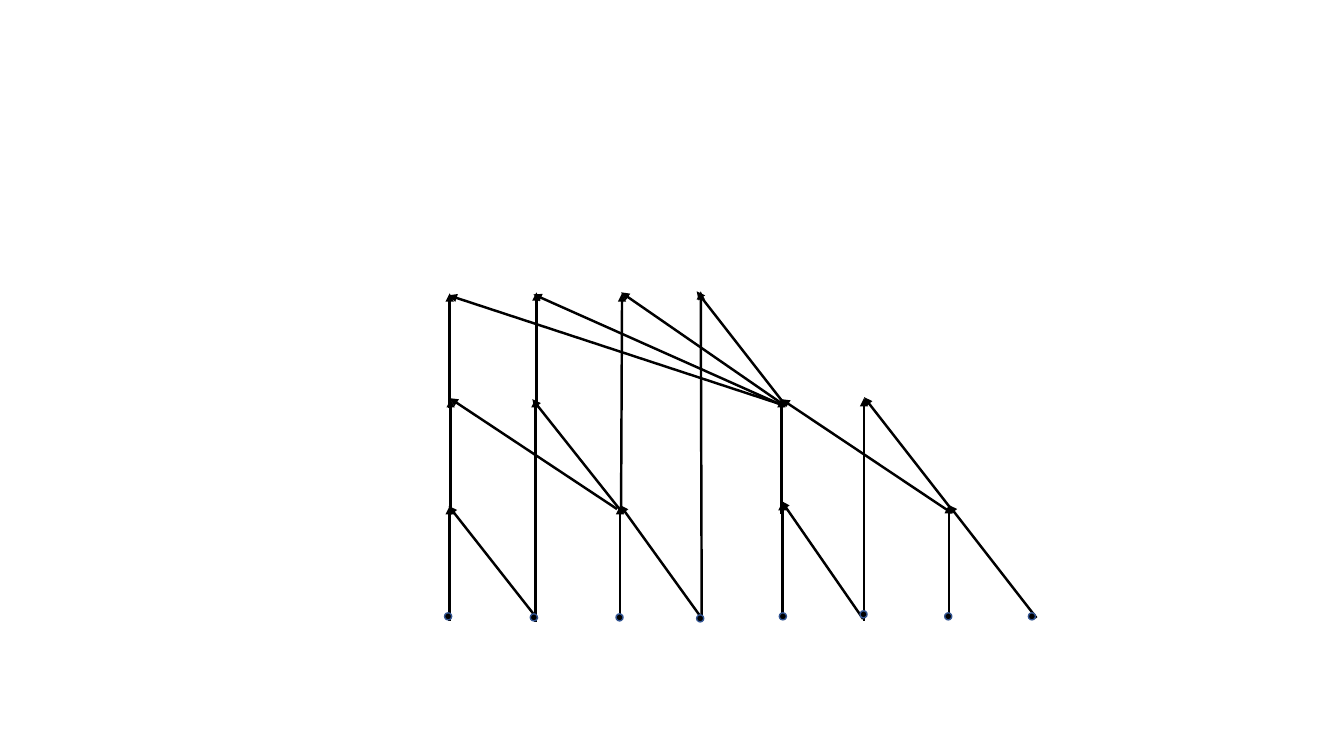
from typing import NamedTuple

import pptx
import pptx.dml.color
import pptx.enum.shapes
import pptx.oxml
import pptx.oxml.ns
import pptx.slide
import pptx.util
from pptx.util import Inches

COLORS = {"ink": "000000", "dot_edge": "325491"}
DOT_SIZE = 0.07


class Arrow(NamedTuple):
    x1: float
    y1: float
    x2: float
    y2: float


class Dot(NamedTuple):
    left: float
    top: float


# Arrows of the merge tree, from the lowest level to the highest
FIRST_LEVEL = [
    Arrow(9.41, 6.15, 9.41, 5.01),
    Arrow(10.28, 6.13, 9.41, 5.01),
    Arrow(7.76, 6.11, 7.76, 4.98),
    Arrow(8.56, 6.14, 7.75, 4.97),
    Arrow(4.46, 6.16, 4.46, 5.02),
    Arrow(5.33, 6.14, 4.45, 5.02),
    Arrow(6.15, 6.15, 6.15, 5.02),
    Arrow(6.95, 6.12, 6.15, 5.01),
]
SECOND_LEVEL = [
    Arrow(8.57, 6.16, 8.57, 3.95),
    Arrow(9.45, 5.07, 8.57, 3.94),
    Arrow(7.75, 5.10, 7.75, 3.96),
    Arrow(9.41, 5.07, 7.75, 3.96),
    Arrow(6.16, 5.07, 5.28, 3.96),
    Arrow(4.47, 5.09, 4.47, 3.96),
    Arrow(6.12, 5.05, 4.46, 3.95),
    Arrow(5.31, 6.17, 5.31, 3.96),
]
THIRD_LEVEL = [
    Arrow(7.79, 4.02, 6.91, 2.89),
    Arrow(6.96, 6.16, 6.95, 2.89),
    Arrow(6.16, 5.03, 6.17, 2.91),
    Arrow(7.75, 4.00, 6.16, 2.90),
    Arrow(5.32, 4.03, 5.32, 2.90),
    Arrow(7.78, 4.03, 5.29, 2.92),
    Arrow(4.46, 4.05, 4.46, 2.91),
    Arrow(7.77, 4.02, 4.45, 2.93),
]

# Starting points along the bottom row
DOTS = [
    Dot(9.37, 6.08), Dot(8.53, 6.06), Dot(7.73, 6.08), Dot(6.91, 6.10),
    Dot(6.11, 6.09), Dot(5.26, 6.09), Dot(4.41, 6.08), Dot(10.20, 6.08),
]


def color(name: str) -> pptx.dml.color.RGBColor:
    return pptx.dml.color.RGBColor.from_string(COLORS[name])


def draw_arrow(page: pptx.slide.Slide, arrow: Arrow) -> None:
    connector = page.shapes.add_connector(
        pptx.enum.shapes.MSO_CONNECTOR.STRAIGHT,
        Inches(arrow.x1), Inches(arrow.y1), Inches(arrow.x2), Inches(arrow.y2),
    )
    connector.line.color.rgb = color("ink")
    connector.line.width = pptx.util.Pt(1.75)
    head = pptx.oxml.parse_xml(
        f'<a:tailEnd {pptx.oxml.ns.nsdecls("a")} type="triangle"/>')
    connector.line._get_or_add_ln().append(head)
    no_shadow = pptx.oxml.parse_xml(f'<a:effectLst {pptx.oxml.ns.nsdecls("a")}/>')
    connector._element.spPr.append(no_shadow)


def draw_dot(page: pptx.slide.Slide, dot: Dot) -> None:
    oval = page.shapes.add_shape(
        pptx.enum.shapes.MSO_SHAPE.OVAL,
        Inches(dot.left), Inches(dot.top), Inches(DOT_SIZE), Inches(DOT_SIZE),
    )
    oval.shadow.inherit = False
    oval.fill.solid()
    oval.fill.fore_color.rgb = color("ink")
    oval.line.color.rgb = color("dot_edge")
    oval.line.width = pptx.util.Pt(1)


def main() -> None:
    deck = pptx.Presentation()
    deck.slide_width, deck.slide_height = Inches(13.33), Inches(7.5)
    page = deck.slides.add_slide(deck.slide_layouts[6])

    for arrow in FIRST_LEVEL + SECOND_LEVEL + THIRD_LEVEL:
        draw_arrow(page, arrow)
    for dot in DOTS:
        draw_dot(page, dot)

    deck.save("out.pptx")


if __name__ == "__main__":
    main()
